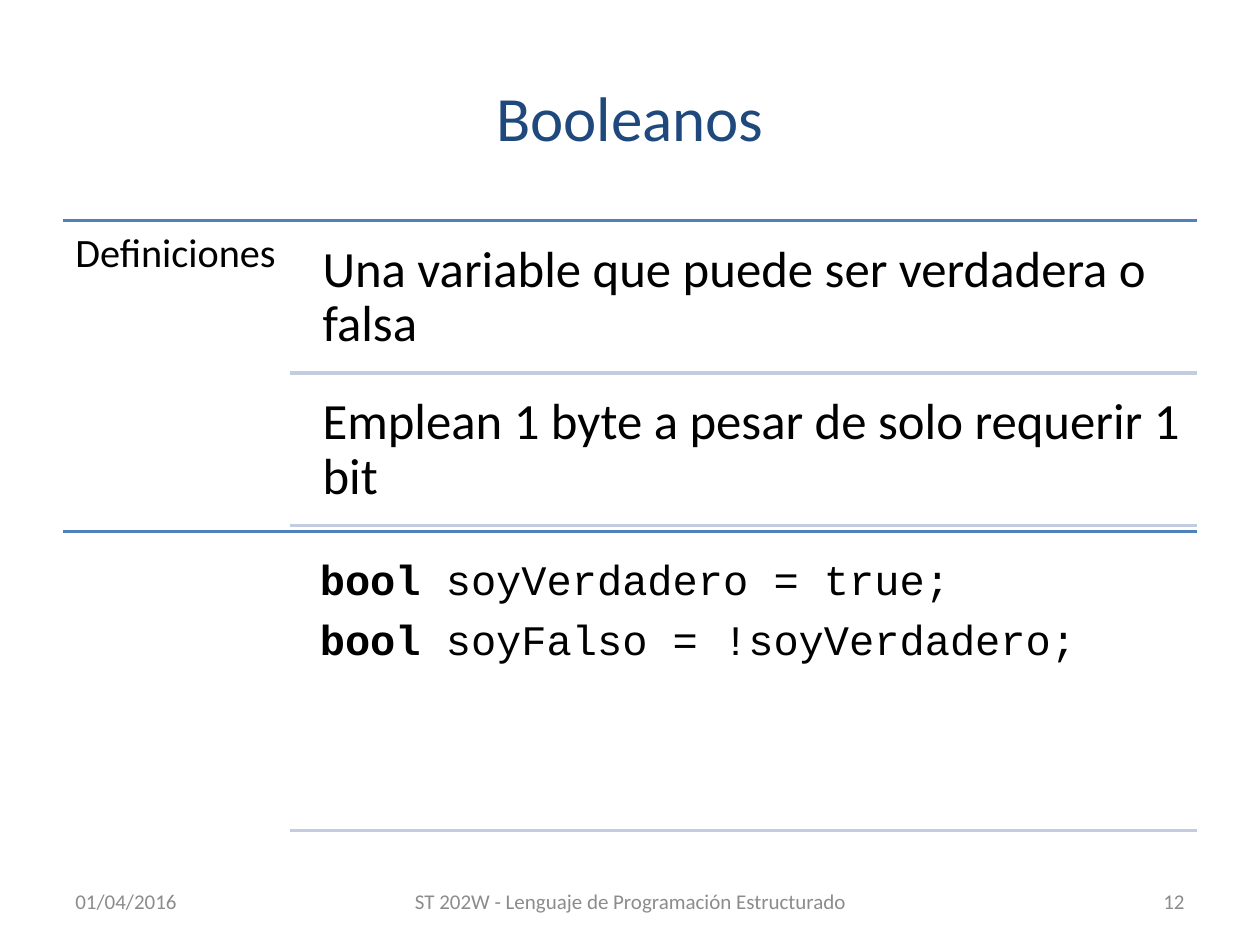
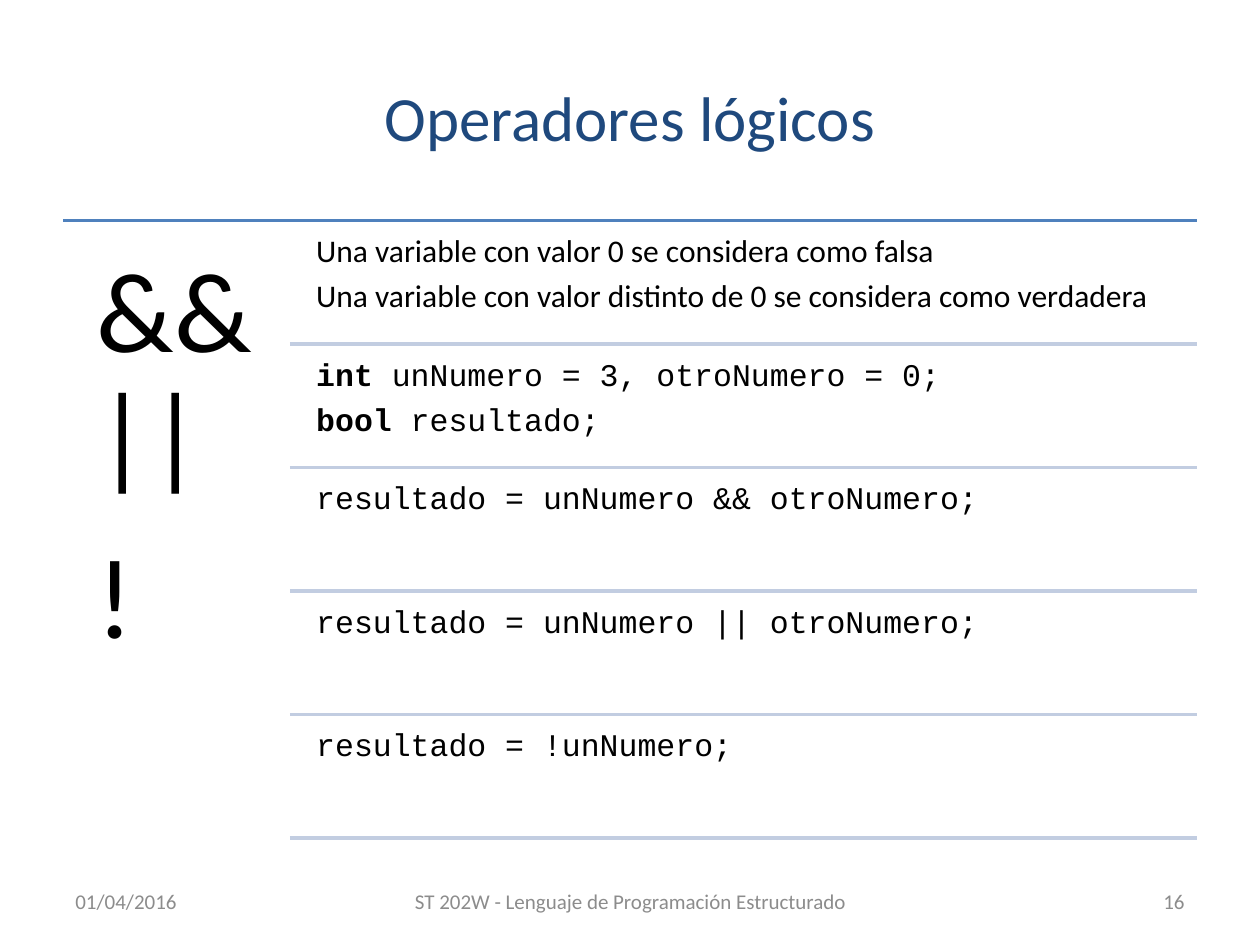
from pptx import Presentation
from pptx.dml.color import RGBColor
from pptx.enum.shapes import MSO_CONNECTOR as Connector
from pptx.enum.text import MSO_ANCHOR as Anchor, PP_ALIGN as Align
from pptx.oxml.ns import qn
from pptx.util import Inches, Pt
from lxml.etree import SubElement

# Shared style
BODY_FONT, CODE_FONT = "Calibri", "Courier New"
TITLE, SECTION, DIVIDER = "1F497D", "4F81BD", "C2CDE1"
BODY, FOOTER = "000000", "8C8C8C"
LEFT, RIGHT = 0.5, 9.5
ROW_LINE_LEFT, ROW_TEXT_LEFT = 2.3, 2.44
COURSE = "ST 202W - Lenguaje de Programación Estructurado"
DATE = "01/04/2016"


def rgb(hex_color):
    return RGBColor.from_string(hex_color)


def write(frame, lines, size, font=BODY_FONT, color=BODY, align=Align.LEFT,
          line_spacing=None, space_after=0):
    """Each line is a string, or a (bold keyword, rest) pair."""
    for index, line in enumerate(lines):
        paragraph = frame.paragraphs[0] if index == 0 else frame.add_paragraph()
        paragraph.alignment = align
        paragraph.space_after = Pt(space_after)
        if line_spacing:
            paragraph.line_spacing = line_spacing
        keyword, rest = ("", line) if isinstance(line, str) else line
        for words, bold in ((keyword, True), (rest, False)):
            if words:
                run = paragraph.add_run()
                run.text = words
                run.font.name, run.font.size = font, Pt(size)
                run.font.bold = bold
                run.font.color.rgb = rgb(color)


class Lesson:
    def __init__(self):
        self.deck = Presentation()
        self.deck.slide_width, self.deck.slide_height = Inches(10), Inches(7.5)
        self.slide = None

    def text(self, box, lines, inset=(0.1, 0.05), anchor=Anchor.TOP, **style):
        frame = self.slide.shapes.add_textbox(*map(Inches, box)).text_frame
        frame.word_wrap = True
        frame.vertical_anchor = anchor
        frame.margin_left = frame.margin_right = Inches(inset[0])
        frame.margin_top = frame.margin_bottom = Inches(inset[1])
        write(frame, lines, **style)

    def rule(self, left, y, color):
        line = self.slide.shapes.add_connector(
            Connector.STRAIGHT, Inches(left), Inches(y), Inches(RIGHT), Inches(y))
        line.line.color.rgb = rgb(color)
        line.line.width = Pt(2)
        SubElement(line._element.spPr, qn("a:effectLst"))

    def start(self, title, number):
        """New slide with its title and footer."""
        self.slide = self.deck.slides.add_slide(self.deck.slide_layouts[6])
        self.text((LEFT, 0.3, 9, 1.25), [title], anchor=Anchor.MIDDLE,
                  size=36, color=TITLE, align=Align.CENTER)
        footers = ((LEFT, 2.33, DATE, Align.LEFT),
                   (3.17, 3.67, COURSE, Align.CENTER),
                   (7.17, 2.33, str(number), Align.RIGHT))
        for left, width, words, align in footers:
            self.text((left, 6.95, width, 0.4), [words], anchor=Anchor.MIDDLE,
                      size=12, color=FOOTER, align=align)

    def body(self, box, lines, inset, size, font=BODY_FONT):
        self.text(box, lines, inset=(inset, inset), size=size, font=font,
                  line_spacing=0.9, space_after=0.35 * size)

    def section(self, top, height=0, label=(), inset=0.1, size=23):
        """Section line, with an optional label in the left column."""
        self.rule(LEFT, top, SECTION)
        if label:
            self.body((LEFT, top, 1.8, height), label, inset, size)

    def rows(self, top, height, pitch, contents, inset, size):
        """Evenly spaced rows, each closed by a divider."""
        for index, (font, lines) in enumerate(contents):
            y = top + index * pitch
            self.body((ROW_TEXT_LEFT, y, RIGHT - ROW_TEXT_LEFT, height),
                      lines, inset, size, font)
            self.rule(ROW_LINE_LEFT, y + height, DIVIDER)


lesson = Lesson()

# Booleans
lesson.start("Booleanos", 12)
lesson.section(1.75, 2.47, ["Definiciones"])
lesson.rows(1.81, 1.15, 1.21, [
    (BODY_FONT, ["Una variable que puede ser verdadera o falsa"]),
    (BODY_FONT, ["Emplean 1 byte a pesar de solo requerir 1 bit"]),
], inset=0.12, size=29)
lesson.section(4.22)
lesson.rows(4.34, 2.25, 0, [
    (CODE_FONT, [("bool ", "soyVerdadero = true;"),
                 ("bool ", "soyFalso = !soyVerdadero;")]),
], inset=0.1, size=24)

# Logical operators
lesson.start("Operadores lógicos", 16)
lesson.section(1.75, 4.95, ["&& ||", "!"], inset=0.27, size=65)
lesson.rows(1.8, 0.93, 0.98, [
    (BODY_FONT, ["Una variable con valor 0 se considera como falsa",
                 "Una variable con valor distinto de 0 se considera como verdadera"]),
    (CODE_FONT, [("int ", "unNumero = 3, otroNumero = 0;"),
                 ("bool ", "resultado;")]),
    (CODE_FONT, ["resultado = unNumero && otroNumero;"]),
    (CODE_FONT, ["resultado = unNumero || otroNumero;"]),
    (CODE_FONT, ["resultado = !unNumero;"]),
], inset=0.07, size=18)

lesson.deck.save("out.pptx")
